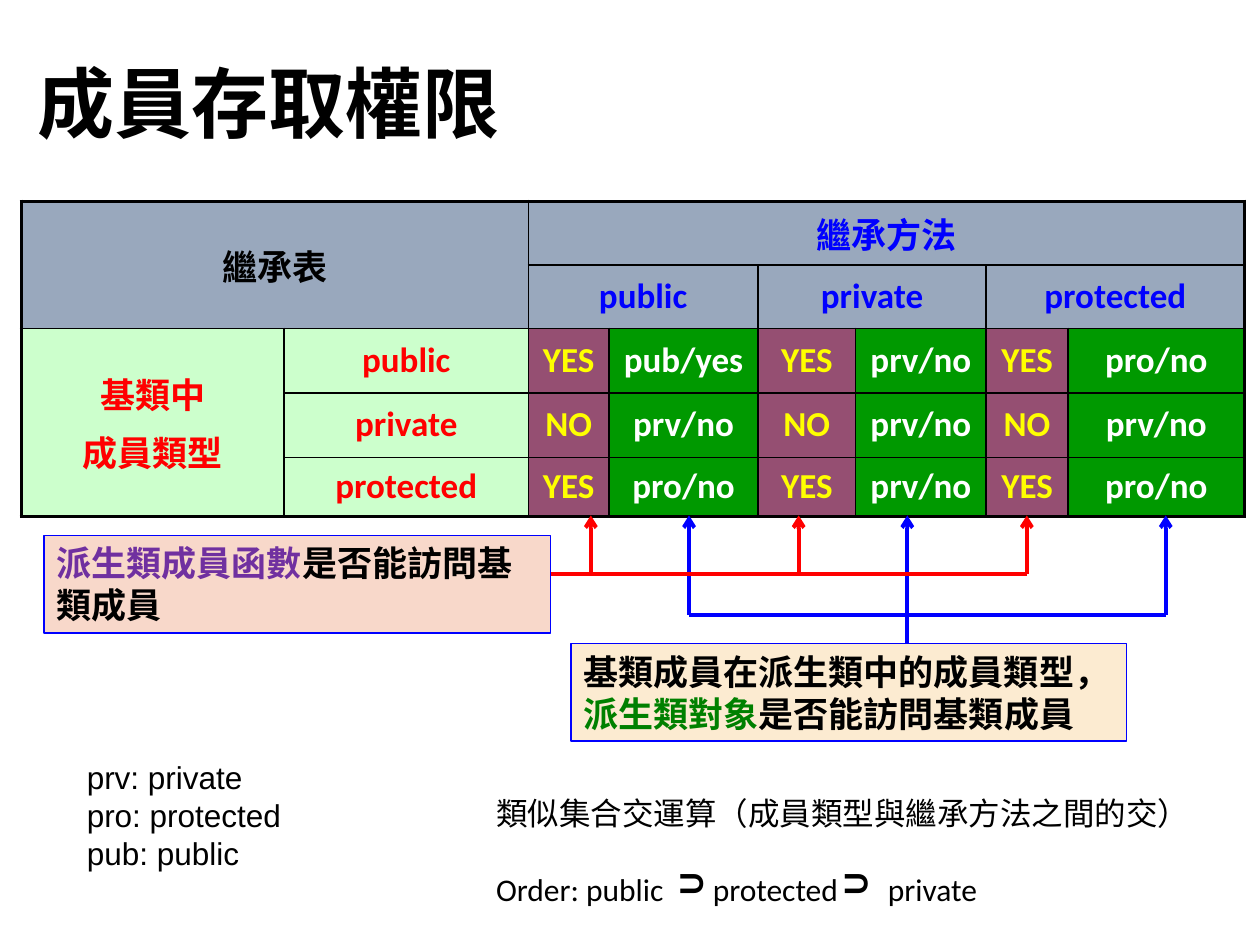
"""Build a slide on member access rights under class inheritance."""
from pptx import Presentation, util as u
from pptx.dml.color import RGBColor
from pptx.enum import shapes, text
from pptx.oxml import parse_xml
from pptx.oxml.ns import nsdecls

BLACK = RGBColor(0, 0, 0)
WHITE = RGBColor(255, 255, 255)
RED = RGBColor(255, 0, 0)
BLUE = RGBColor(0, 0, 255)
YELLOW = RGBColor(255, 255, 0)
PURPLE = RGBColor(0x70, 0x30, 0xA0)
DARK_GREEN = RGBColor(0, 0x80, 0)
SLATE = RGBColor(0x99, 0xA8, 0xBD)
MINT = RGBColor(0xCC, 0xFF, 0xCC)
PLUM = RGBColor(0x95, 0x4F, 0x72)
GREEN = RGBColor(0, 0x99, 0)
PINK = RGBColor(0xF8, 0xD8, 0xCA)
CREAM = RGBColor(0xFC, 0xEB, 0xD1)


def write(frame, lines, size, bold=False):
    """Fill a text frame with lines, each a list of (words, colour, font)."""
    for index, line in enumerate(lines):
        para = frame.paragraphs[0] if index == 0 else frame.add_paragraph()
        for words, colour, font in line:
            span = para.add_run()
            span.text = words
            span.font.name = font
            span.font.size = u.Pt(size)
            span.font.bold = bold
            span.font.color.rgb = colour


def draw_line(x1, y1, x2, y2, colour, arrow=False):
    """Draw a straight line, with an arrowhead at its start if asked."""
    line = page.shapes.add_connector(
        shapes.MSO_CONNECTOR.STRAIGHT, u.Cm(x1), u.Cm(y1), u.Cm(x2), u.Cm(y2))
    line.line.color.rgb = colour
    line.line.width = u.Pt(2.25)
    if arrow:
        line.line._get_or_add_ln().append(
            parse_xml(f'<a:headEnd {nsdecls("a")} type="arrow"/>'))
    line._element.spPr.append(parse_xml(f'<a:effectLst {nsdecls("a")}/>'))


deck = Presentation()
deck.slide_width, deck.slide_height = u.Cm(25.4), u.Cm(19.05)
page = deck.slides.add_slide(deck.slide_layouts[5])

title = page.shapes.title
title.left, title.top, title.width, title.height = u.Cm(0.5), u.Cm(0.33), u.Cm(21.9), u.Cm(3.68)
title.text_frame.vertical_anchor = text.MSO_ANCHOR.MIDDLE
write(title.text_frame, [[("成員存取權限", BLACK, "Noto Sans CJK SC")]], 44, True)
title.text_frame.paragraphs[0].alignment = text.PP_ALIGN.LEFT
title.text_frame.paragraphs[0].line_spacing = 0.9

column_widths = [5.3, 4.92, 1.63, 3, 1.97, 2.63, 1.65, 3.56]
row_heights = [1.2, 1.2, 1.3, 1.3, 1.19]
rows = [
    ["繼承表", "", "繼承方法", "", "", "", "", ""],
    ["", "", "public", "", "private", "", "protected", ""],
    ["基類中\n成員類型", "public", "YES", "pub/yes", "YES", "prv/no", "YES", "pro/no"],
    ["", "private", "NO", "prv/no", "NO", "prv/no", "NO", "prv/no"],
    ["", "protected", "YES", "pro/no", "YES", "prv/no", "YES", "pro/no"],
]
table = page.shapes.add_table(
    len(rows), len(column_widths), u.Cm(0.43), u.Cm(4.06),
    u.Cm(sum(column_widths)), u.Cm(sum(row_heights))).table
for column, width in zip(table.columns, column_widths):
    column.width = u.Cm(width)
for row, height in zip(table.rows, row_heights):
    row.height = u.Cm(height)
for top, left, bottom, right in [(0, 0, 1, 1), (0, 2, 0, 7), (1, 2, 1, 3),
                                 (1, 4, 1, 5), (1, 6, 1, 7), (2, 0, 4, 0)]:
    table.cell(top, left).merge(table.cell(bottom, right))

for r, values in enumerate(rows):
    for c, value in enumerate(values):
        cell = table.cell(r, c)
        if r < 2:
            fill, colour = SLATE, BLACK if c == 0 else BLUE
        elif c < 2:
            fill, colour = MINT, RED
        else:
            fill, colour = (PLUM, YELLOW) if c % 2 == 0 else (GREEN, WHITE)
        outer = {"L": c == 0, "R": c + cell.span_width == len(values),
                 "T": r == 0, "B": r + cell.span_height == len(rows)}
        for side, thick in outer.items():
            width = u.Pt(2.25 if thick else 1)
            cell._tc.get_or_add_tcPr().append(parse_xml(
                f'<a:ln{side} {nsdecls("a")} w="{width}"><a:solidFill>'
                f'<a:srgbClr val="{BLACK}"/></a:solidFill></a:ln{side}>'))
        cell.fill.solid()
        cell.fill.fore_color.rgb = fill
        if cell.is_spanned:
            continue
        cell.vertical_anchor = text.MSO_ANCHOR.MIDDLE
        write(cell.text_frame, [[(part, colour, "Calibri")] for part in value.split("\n")], 20, True)
        for index, para in enumerate(cell.text_frame.paragraphs):
            para.alignment = text.PP_ALIGN.CENTER
            if index:
                para.space_before = u.Pt(4)

notes = [
    (0.89, 10.8, 10.21, PINK, True,
     [[("派生類成員函數", PURPLE, "Arial"), ("是否能訪問基類成員", BLACK, "Arial")]]),
    (11.51, 12.98, 11.2, CREAM, False,
     [[("基類成員在派生類中的成員類型，", BLACK, "Calibri")],
      [("派生類對象", DARK_GREEN, "Calibri"), ("是否能訪問基類成員", BLACK, "Calibri")]]),
]
for left, top, width, fill, wrap, lines in notes:
    box = page.shapes.add_shape(
        shapes.MSO_SHAPE.RECTANGLE, u.Cm(left), u.Cm(top), u.Cm(width), u.Cm(1.96))
    box.shadow.inherit = False
    box.fill.solid()
    box.fill.fore_color.rgb = fill
    box.line.color.rgb = BLUE
    box.line.width = u.Pt(0.75)
    box.text_frame.word_wrap = wrap
    box.text_frame.vertical_anchor = text.MSO_ANCHOR.TOP
    write(box.text_frame, lines, 20, True)
    for para in box.text_frame.paragraphs:
        para.alignment = text.PP_ALIGN.LEFT

tip = 10.39
for x, end in [(13.89, 12.4), (18.29, 12.98), (23.5, 12.4)]:
    draw_line(x, tip, x, end, BLUE, arrow=True)
draw_line(13.89, 12.4, 23.5, 12.4, BLUE)
for x in (11.91, 16.1, 20.7):
    draw_line(x, tip, x, 11.58, RED, arrow=True)
draw_line(11.1, 11.58, 20.7, 11.58, RED)

legend = page.shapes.add_textbox(u.Cm(1.5), u.Cm(15.16), u.Cm(6.4), u.Cm(2.57))
legend.text_frame.word_wrap = True
write(legend.text_frame,
      [[(line, BLACK, "Arial")] for line in ("prv: private", "pro: protected", "pub: public")], 18)

summary = page.shapes.add_textbox(u.Cm(9.75), u.Cm(15.88), u.Cm(14.76), u.Cm(2.57))
summary.text_frame.word_wrap = True
write(summary.text_frame,
      [[("類似集合交運算（成員類型與繼承方法之間的交）", BLACK, "Calibri")],
       [("Order: public\tprotected\tprivate", BLACK, "Calibri")]], 18)
order = summary.text_frame.paragraphs[1]
order.space_before = u.Pt(22)
stops = "".join(f'<a:tab pos="{u.Cm(stop)}" algn="l"/>' for stop in (4.37, 7.9))
order._p.get_or_add_pPr().append(parse_xml(f'<a:tabLst {nsdecls("a")}>{stops}</a:tabLst>'))

for left in (13.34, 16.66):
    superset = page.shapes.add_textbox(u.Cm(left), u.Cm(17.6), u.Cm(1.37), u.Cm(0.71))
    superset.rotation = 180
    superset.text_frame.word_wrap = False
    superset.text_frame._txBody.bodyPr.set("vert", "eaVert")
    write(superset.text_frame, [[("U", BLACK, "Calibri")]], 20, True)

deck.save("out.pptx")
